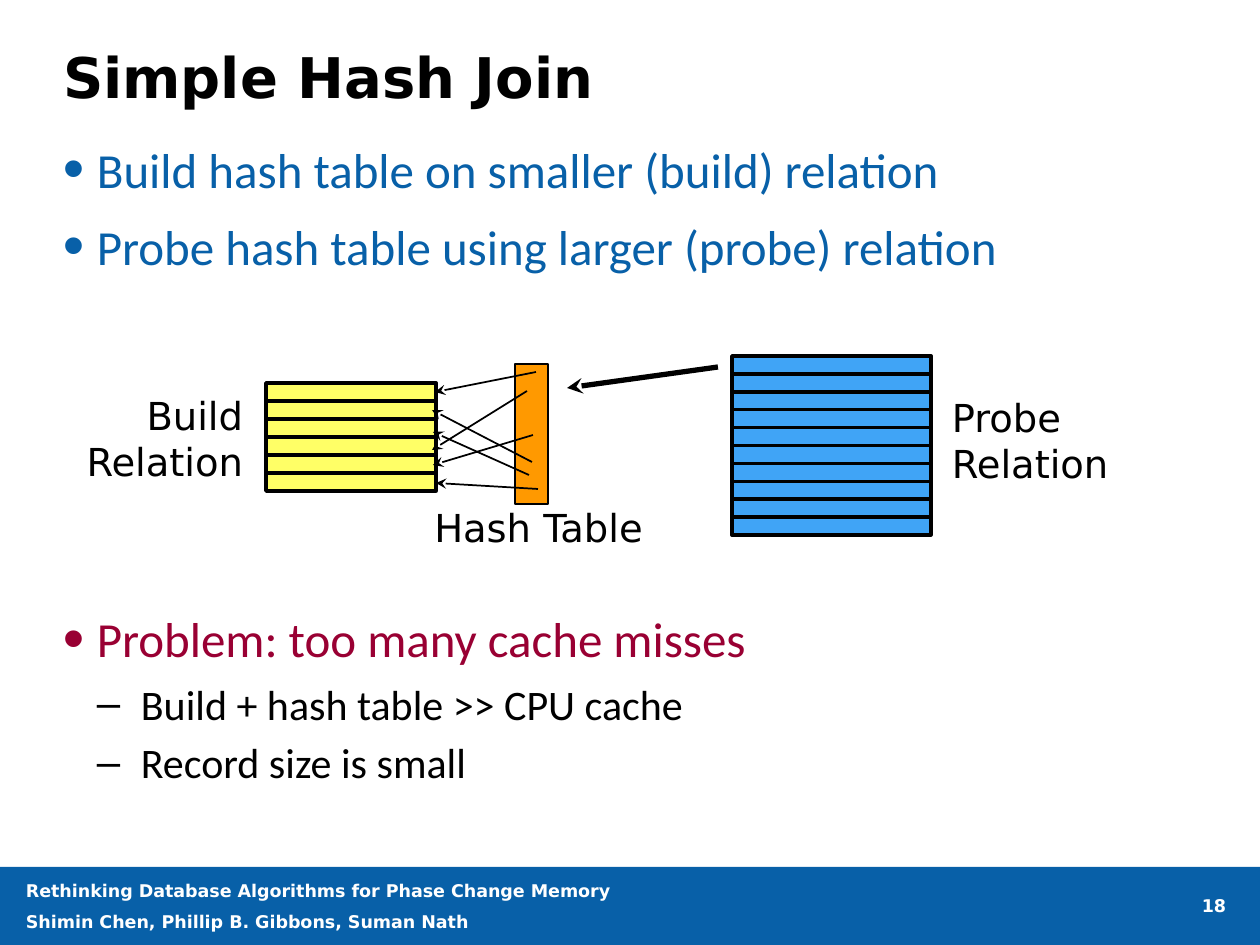
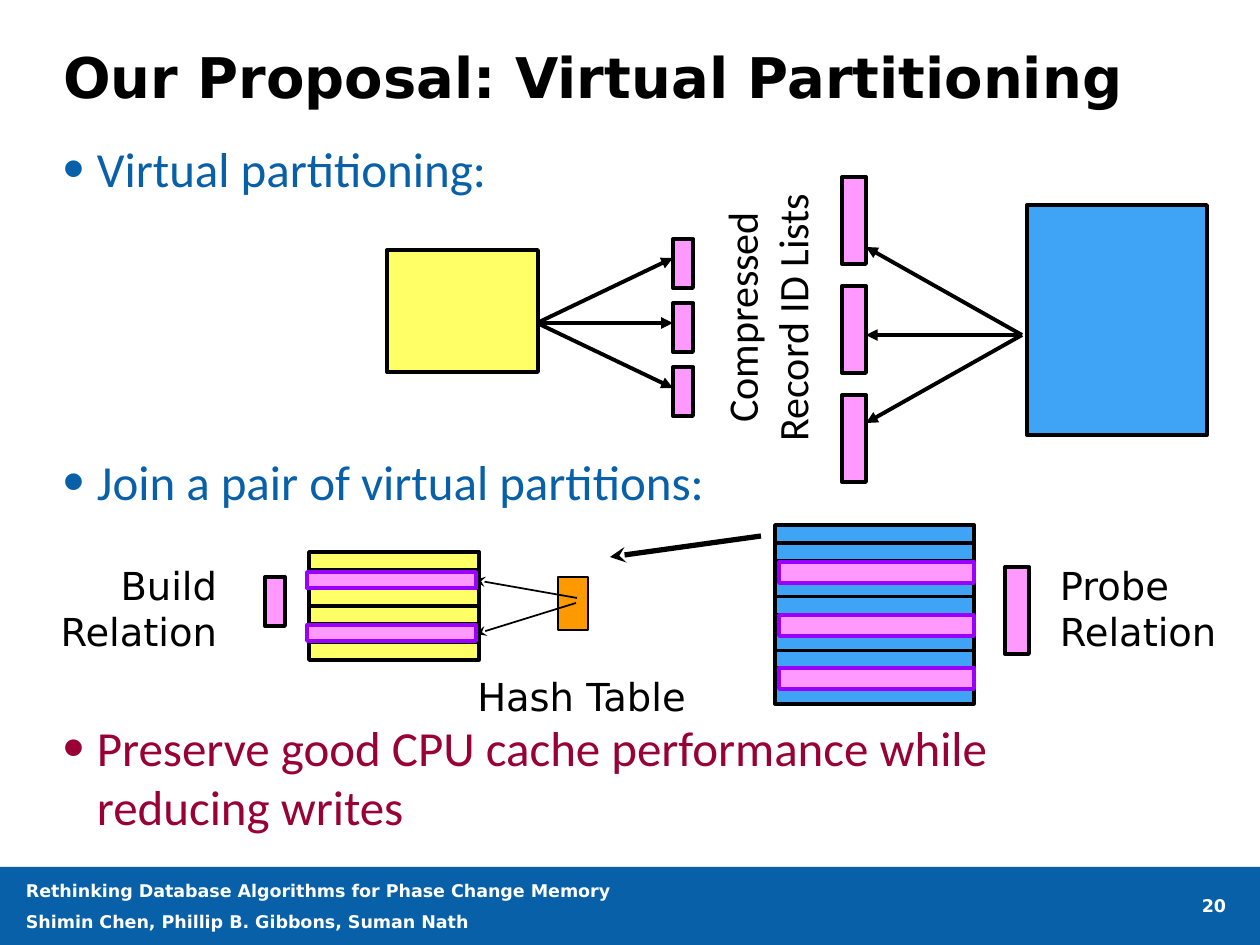
from lxml.etree import SubElement
from pptx import Presentation
from pptx.dml.color import RGBColor
from pptx.enum.shapes import MSO_CONNECTOR, MSO_SHAPE
from pptx.enum.text import MSO_ANCHOR, PP_ALIGN
from pptx.oxml.ns import qn
from pptx.util import Emu, Pt

PX_PER_INCH = 126
COLOURS = {
    "band": "0860A8", "topic": "0860A8", "problem": "990033",
    "ink": "000000", "paper": "FFFFFF", "build": "FFFF66",
    "probe": "40A4F6", "hash": "FF9900", "partition": "FF99FF",
    "highlight": "9900FF",
}
HEADING_FONT, BODY_FONT = "DejaVu Sans", "Calibri"
FOOTER = ["Rethinking Database Algorithms for Phase Change Memory",
          "Shimin Chen, Phillip B. Gibbons, Suman Nath"]
BUILD_SIZE, PROBE_SIZE = (170, 108), (199, 179)
SMALL_PART, LARGE_PART = (20, 49), (24, 87)


def px(length):
    """Turn whole pixels into EMU."""
    return Emu(round(length * 914400 / PX_PER_INCH))


def colour(name):
    """Look up a named colour."""
    return RGBColor.from_string(COLOURS[name])


def style_runs(para, size, ink="ink", font=HEADING_FONT, bold=False):
    """Format every run of a paragraph."""
    for span in para.runs:
        span.font.name, span.font.size, span.font.bold = font, Pt(size), bold
        span.font.color.rgb = colour(ink)


def add_text(page, box, lines, size, ink="ink", font=HEADING_FONT, bold=False,
             align=PP_ALIGN.LEFT, gap=0, inset=(0, 0)):
    """Add a wrapping text box with one paragraph per line."""
    shape = page.shapes.add_textbox(*map(px, box))
    frame = shape.text_frame
    frame.word_wrap = True
    frame.margin_left = frame.margin_right = px(inset[0])
    frame.margin_top = frame.margin_bottom = px(inset[1])
    frame.text = "\n".join(lines)
    for index, para in enumerate(frame.paragraphs):
        para.alignment = align
        para.space_before = Pt(gap if index else 0)
        style_runs(para, size, ink, font, bold)
    return shape


def add_label(page, box, text, align, **style):
    """Add a diagram label."""
    return add_text(page, box, [text], style.pop("size", 22), align=align,
                    inset=(12, 6), **style)


def add_bullets(page, top, texts, ink="topic", level=1):
    """Add bulleted lines of one level starting at the given height."""
    size, margin, hanging, gap, mark = (
        (28, 34, 34, 10.4, "•") if level == 1 else (24, 78, 44, 4.8, "–"))
    shape = add_text(page, (63, top, 1135, 60 * len(texts)), texts, size, ink,
                     BODY_FONT, gap=gap)
    for para in shape.text_frame.paragraphs:
        properties = para._p.get_or_add_pPr()
        properties.set("marL", str(px(margin)))
        properties.set("indent", str(-px(hanging)))
        if level == 1:
            SubElement(properties, qn("a:buSzPct"), val="125000")
        SubElement(properties, qn("a:buFont"), typeface="Arial")
        SubElement(properties, qn("a:buChar"), char=mark)


def add_block(page, box, fill, width=2.25, outline="ink"):
    """Add a filled rectangle, without outline when the width is zero."""
    shape = page.shapes.add_shape(MSO_SHAPE.RECTANGLE, *map(px, box))
    shape.shadow.inherit = False
    shape.fill.solid()
    shape.fill.fore_color.rgb = colour(fill)
    if width:
        shape.line.color.rgb = colour(outline)
        shape.line.width = Pt(width)
    else:
        shape.line.fill.background()


def add_line(page, start, end, width, head=None):
    """Add a straight black line with an optional arrowhead at its end."""
    line = page.shapes.add_connector(MSO_CONNECTOR.STRAIGHT, *map(px, start + end))
    line.line.color.rgb = colour("ink")
    line.line.width = Pt(width)
    properties = line.element.spPr
    if head:
        SubElement(properties.find(qn("a:ln")), qn("a:tailEnd"), type=head)
    SubElement(properties, qn("a:effectLst"))


def add_relation(page, left, top, size, fill, rows):
    """Draw a relation as a block ruled into equal records."""
    width, height = size
    add_block(page, (left, top, width, height), fill, 2)
    for row in range(1, rows):
        level = top + height * row / rows
        add_line(page, (left, level), (left + width, level), 2)


def add_join(page, left, top, hash_box, pointers, build_label, probe_label):
    """Draw build relation, hash table and probe relation from one corner."""
    def at(point):
        return left + point[0], top + point[1]

    add_label(page, at(build_label) + (186, 105), "Build Relation", PP_ALIGN.RIGHT)
    add_label(page, at(probe_label) + (186, 105), "Probe Relation", PP_ALIGN.LEFT)
    add_label(page, at((117, 142)) + (311, 59), "Hash Table", PP_ALIGN.CENTER)
    add_relation(page, *at((466, 0)), PROBE_SIZE, "probe", 10)
    add_relation(page, *at((0, 27)), BUILD_SIZE, "build", 6)
    add_block(page, at(hash_box[:2]) + hash_box[2:], "hash", 0.75)
    for start, end in pointers:
        add_line(page, at(start), at(end), 1, "stealth")
    add_line(page, at((452, 11)), at((301, 32)), 3, "stealth")


def add_partition_column(page, corner, size, pitch, count=3, outline="ink"):
    """Stack equal partition blocks at a fixed pitch."""
    for index in range(count):
        add_block(page, (corner[0], corner[1] + index * pitch) + size,
                  "partition", outline=outline)


def add_partitioning(page, source, fill, corner, size, pitch, origin, tip, tip_pitch):
    """Draw a relation with arrows fanning out to its three partitions."""
    add_block(page, source, fill)
    add_partition_column(page, corner, size, pitch)
    for index in range(3):
        add_line(page, origin, (tip[0], tip[1] + index * tip_pitch), 2.25, "triangle")


def add_page(deck, title, number):
    """Start a page with title, footer band and page number."""
    page = deck.slides.add_slide(deck.slide_layouts[5])
    heading = page.shapes.title
    heading.left, heading.top, heading.width, heading.height = map(px, (63, 35, 1135, 82))
    frame = heading.text_frame
    frame.margin_left = frame.margin_right = frame.margin_top = frame.margin_bottom = 0
    frame.vertical_anchor = MSO_ANCHOR.MIDDLE
    frame.text = title
    frame.paragraphs[0].alignment = PP_ALIGN.LEFT
    style_runs(frame.paragraphs[0], 32, bold=True)
    add_block(page, (0, 867, 1260, 78), "band", 0)
    add_text(page, (26, 880, 822, 53), FOOTER, 10, "paper", bold=True, gap=5.5)
    add_text(page, (1169, 895, 57, 30), [str(number)], 10, "paper", bold=True,
             align=PP_ALIGN.RIGHT)
    return page


def build_hash_join(deck):
    """Build the simple hash join page."""
    page = add_page(deck, "Simple Hash Join", 18)
    add_bullets(page, 139, ["Build hash table on smaller (build) relation",
                            "Probe hash table using larger (probe) relation"])
    add_bullets(page, 609, ["Problem: too many cache misses"], "problem")
    add_bullets(page, 678, ["Build + hash table >> CPU cache",
                            "Record size is small"], "ink", 2)
    pointers = [((270, 16), (169, 36)), ((266, 106), (166, 54)),
                ((263, 119), (167, 76)), ((261, 35), (166, 94)),
                ((272, 133), (170, 127)), ((267, 79), (167, 109))]
    add_join(page, 266, 356, (249, 8, 33, 140), pointers, (-197, 30), (674, 32))


def build_virtual_partitioning(deck):
    """Build the virtual partitioning page."""
    page = add_page(deck, "Our Proposal: Virtual Partitioning", 20)
    add_bullets(page, 139, ["Virtual partitioning:"])
    add_bullets(page, 452, ["Join a pair of virtual partitions:"])
    add_bullets(page, 718, ["Preserve good CPU cache performance while \vreducing writes"],
                "problem")
    add_partitioning(page, (387, 250, 151, 122), "build", (673, 239), SMALL_PART, 64,
                     (537, 323), (673, 258), 65)
    add_partitioning(page, (1027, 205, 180, 230), "probe", (842, 177), LARGE_PART, 109,
                     (1022, 335), (866, 247), 88)
    lists = add_label(page, (622, 260, 291, 115), "Compressed Record ID Lists",
                      PP_ALIGN.CENTER, size=24, font=BODY_FONT)
    lists.rotation = 270

    left, top = 309, 525
    pointers = [((268, 73), (166, 55)), ((267, 78), (167, 109))]
    add_join(page, left, top, (249, 52, 30, 53), pointers, (-266, 31), (739, 31))
    add_partition_column(page, (left - 2, top + 47), (169, 16), 53, 2, "highlight")
    add_partition_column(page, (left + 470, top + 37), (195, 21), 53, 3, "highlight")
    add_partition_column(page, (left - 44, top + 52), SMALL_PART, 0, 1)
    add_partition_column(page, (left + 696, top + 42), LARGE_PART, 0, 1)


def main():
    """Build and save the deck."""
    deck = Presentation()
    deck.slide_width, deck.slide_height = px(1260), px(945)
    build_hash_join(deck)
    build_virtual_partitioning(deck)
    deck.save("out.pptx")


if __name__ == "__main__":
    main()
